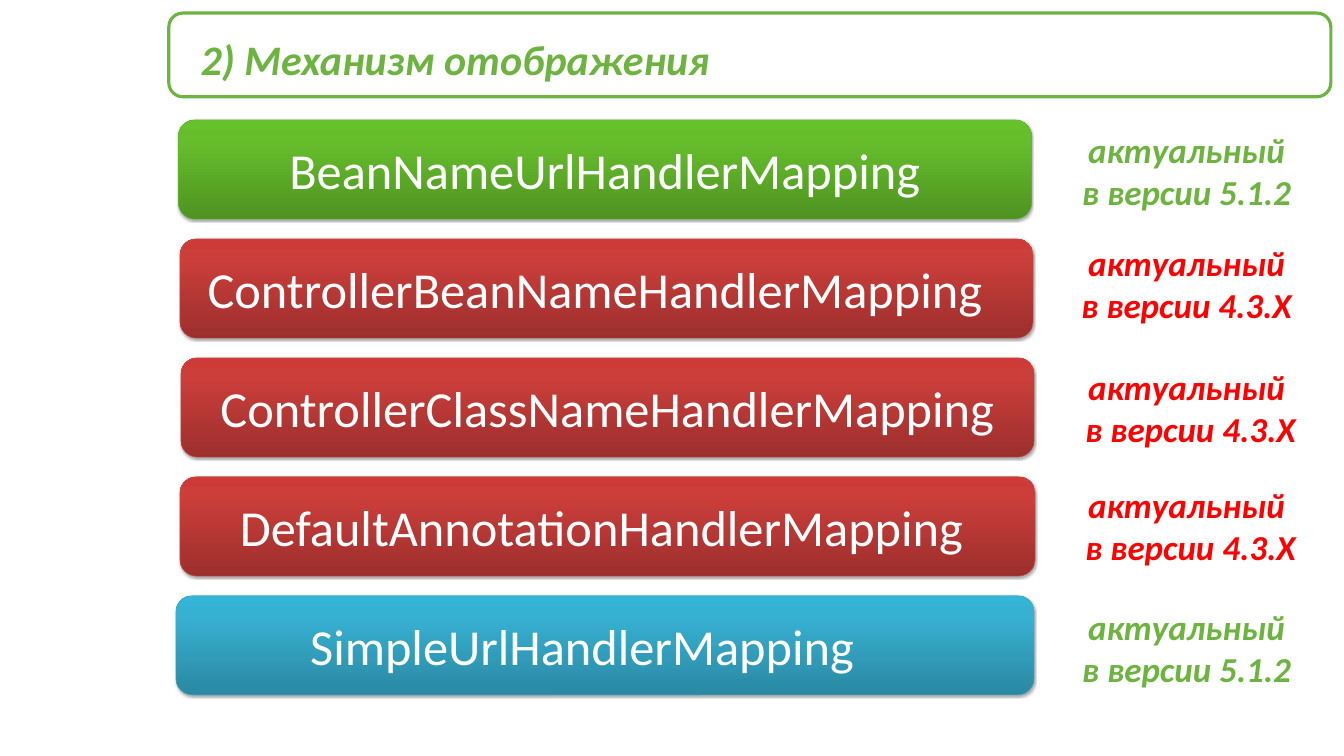
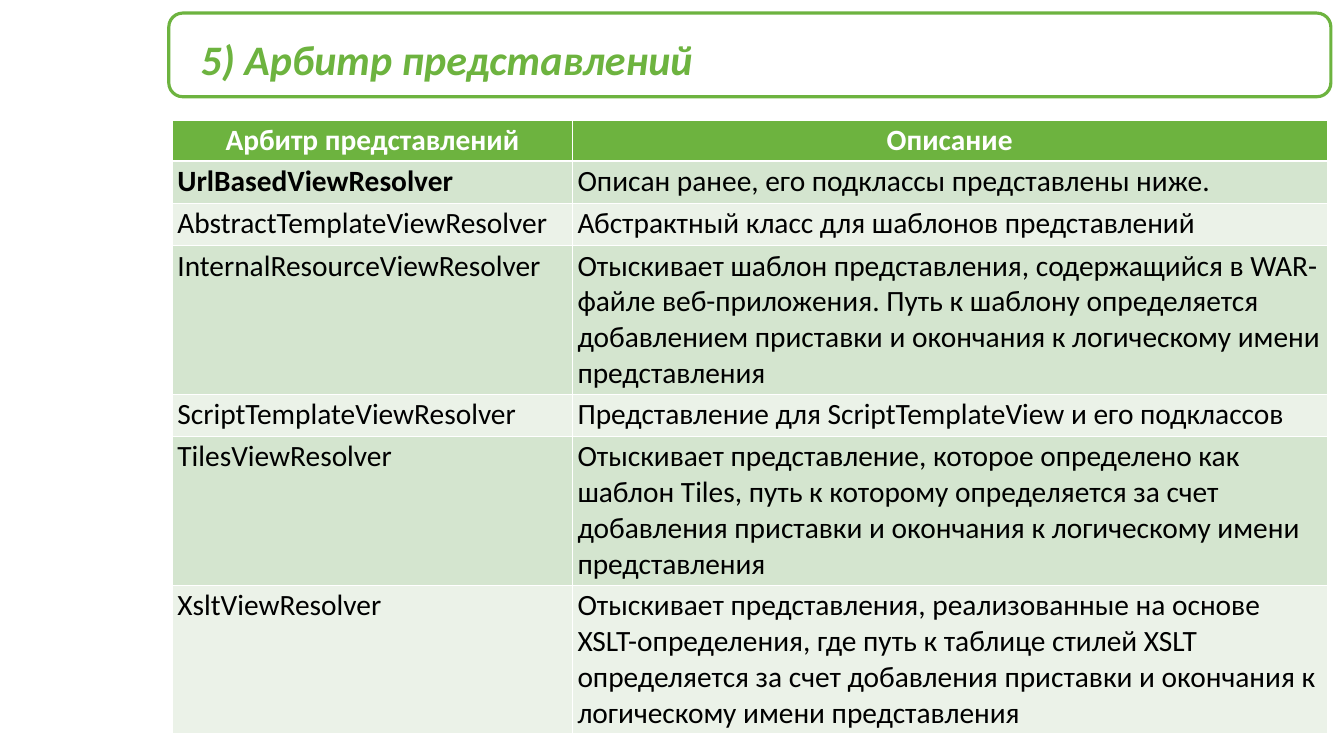
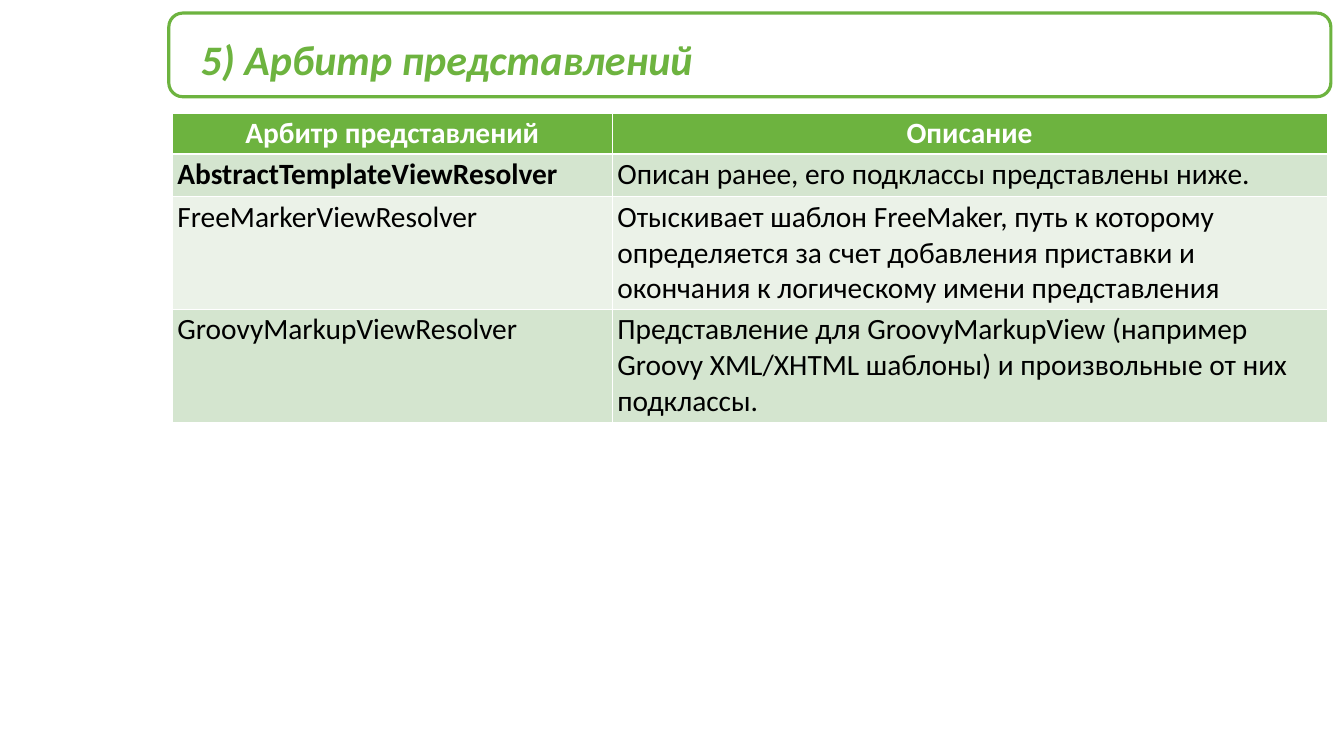
from copy import deepcopy

from lxml import etree
from pptx import Presentation, util as u
from pptx.dml.color import RGBColor
from pptx.enum import shapes, text
from pptx.oxml.ns import qn

SCALE = 9144
FONT = "Calibri"
COLORS = {
    "green": "6DB33F", "red": "FF0000", "white": "FFFFFF", "black": "000000",
    "row_dark": "D4E5CF", "row_light": "EBF2E8",
}
BARS = {
    "green": {"line": "6AB23B", "stops": ("4F9322", "66BE2C", "66C22A")},
    "red": {"line": "BF4C48", "stops": ("9C2F2D", "CB3E3A", "CE3B37")},
    "blue": {"line": "46AAC5", "stops": ("2A88A2", "37B1D2", "34B4D6")},
}
STOP_POSITIONS = (0, 0.8, 1)
BAR_TOP, BAR_STEP, BAR_HEIGHT = 238, 236, 197
SINGLE_ROW, HEADER_ROW, LINE_HEIGHT = 84, 81, 71

MAPPINGS = [
    ("BeanNameUrlHandlerMapping", "green", 354, 1693, 0, 251, "в версии 5.1.2 "),
    ("ControllerBeanNameHandlerMapping", "red", 357, 1693, 45, 475, "в версии 4.3.X "),
    ("ControllerClassNameHandlerMapping", "red", 359, 1693, 0, 721, "в версии 4.3.X"),
    ("DefaultAnnotationHandlerMapping", "red", 357, 1697, 23, 954, "в версии 4.3.X"),
    ("SimpleUrlHandlerMapping", "blue", 349, 1703, 90, 1196, "в версии 5.1.2 "),
]
RESOLVER_TITLE = "5) Арбитр представлений"
RESOLVER_HEADER = ("Арбитр представлений", "Описание", 1)
URL_RESOLVERS = [
    ("UrlBasedViewResolver", "Описан ранее, его подклассы представлены ниже.", 1),
    ("AbstractTemplateViewResolver", "Абстрактный класс для шаблонов представлений", 1),
    ("InternalResourceViewResolver",
     "Отыскивает шаблон представления, содержащийся в WAR-файле веб-приложения. "
     "Путь к шаблону определяется добавлением приставки и окончания к логическому "
     "имени представления", 4),
    ("ScriptTemplateViewResolver",
     "Представление для ScriptTemplateView и его подклассов", 1),
    ("TilesViewResolver",
     "Отыскивает представление, которое определено как шаблон Tiles, путь к которому "
     "определяется за счет добавления приставки и окончания к логическому имени "
     "представления", 4),
    ("XsltViewResolver",
     "Отыскивает представления, реализованные на основе XSLT-определения, где путь к "
     "таблице стилей XSLT определяется за счет добавления приставки и окончания к "
     "логическому имени представления", 4),
]
TEMPLATE_RESOLVERS = [
    ("AbstractTemplateViewResolver", "Описан ранее, его подклассы представлены ниже.", 1),
    ("FreeMarkerViewResolver",
     "Отыскивает шаблон FreeMaker, путь к которому определяется за счет добавления "
     "приставки и окончания к логическому имени представления", 3),
    ("GroovyMarkupViewResolver",
     "Представление для GroovyMarkupView (например Groovy XML/XHTML шаблоны) и "
     "произвольные от них подклассы.", 3),
]


def px(*lengths):
    return [u.Emu(length * SCALE) for length in lengths]


def rgb(name):
    return RGBColor.from_string(COLORS.get(name, name))


def write(frame, *lines, size, color, bold=False, italic=False, align="LEFT", anchor="TOP"):
    frame.word_wrap = True
    frame.vertical_anchor = getattr(text.MSO_ANCHOR, anchor)
    for index, line in enumerate(lines):
        paragraph = frame.add_paragraph() if index else frame.paragraphs[0]
        paragraph.alignment = getattr(text.PP_ALIGN, align)
        run = paragraph.add_run()
        run.text = line
        font = run.font
        font.name, font.size = FONT, u.Pt(size)
        font.bold, font.italic = bold, italic
        font.color.rgb = rgb(color)


class Deck:
    """Holds the shared style and the slide being built."""

    def __init__(self):
        self.show = Presentation()
        self.show.slide_width, self.show.slide_height = px(2667, 1500)
        self.slide = None

    def start(self, title):
        self.slide = self.show.slides.add_slide(self.show.slide_layouts[5])
        heading = self.slide.shapes.title
        heading.left, heading.top, heading.width, heading.height = px(388, 57, 2207, 89)
        heading.fill.solid()
        heading.fill.fore_color.rgb = rgb("white")
        self.outline(heading, "white", 0.75)
        frame = heading.text_frame
        frame.auto_size = text.MSO_AUTO_SIZE.NONE
        frame.margin_top, frame.margin_bottom = px(10, 0)
        write(frame, title, size=60, color="green", bold=True, italic=True)
        band = self.rounded(335, 26, 2306, 166)
        band.fill.background()
        self.outline(band, "green", 4.5)

    def outline(self, shape, color, width):
        shape.line.color.rgb = rgb(color)
        shape.line.width = u.Pt(width)

    def rounded(self, *box):
        shape = self.slide.shapes.add_shape(shapes.MSO_SHAPE.ROUNDED_RECTANGLE, *px(*box))
        shape.shadow.inherit = False
        return shape

    def bar(self, label, palette, shift, *box):
        bar = self.rounded(*box)
        bar.fill.gradient()
        bar.fill.gradient_angle = 90
        properties = bar._element.spPr
        first_stop = properties.find(".//" + qn("a:gs"))
        first_stop.addnext(deepcopy(first_stop))
        for stop, position, color in zip(
                bar.fill.gradient_stops, STOP_POSITIONS, palette["stops"]):
            stop.position = position
            stop.color.rgb = rgb(color)
        self.outline(bar, palette["line"], 0.75)
        self.soft_shadow(properties.find(qn("a:effectLst")))
        bar.text_frame.margin_right = px(10 + shift)[0]
        write(bar.text_frame, label, size=72, color="white", align="CENTER", anchor="MIDDLE")

    def soft_shadow(self, effects):
        shadow = etree.SubElement(
            effects, qn("a:outerShdw"), blurRad=str(u.Pt(3.1)), dist=str(u.Pt(1.8)),
            dir="5400000", rotWithShape="0")
        tint = etree.SubElement(shadow, qn("a:srgbClr"), val=COLORS["black"])
        etree.SubElement(tint, qn("a:alpha"), val="35000")

    def caption(self, top, version, color):
        note = self.slide.shapes.add_textbox(*px(2084, top, 557, 178))
        note.text_frame.auto_size = text.MSO_AUTO_SIZE.SHAPE_TO_FIT_TEXT
        write(note.text_frame, "актуальный ", version, size=50, color=color,
              bold=True, italic=True, align="CENTER")

    def table(self, top, widths, rows):
        heights = [HEADER_ROW] + [
            max(SINGLE_ROW, LINE_HEIGHT * lines + 10) for *_, lines in rows]
        grid = self.slide.shapes.add_table(
            len(heights), len(widths), *px(342, top, sum(widths), sum(heights))).table
        for column, width in zip(grid.columns, px(*widths)):
            column.width = width
        for index, (name, description, _) in enumerate([RESOLVER_HEADER, *rows]):
            grid.rows[index].height = px(heights[index])[0]
            header = index == 0
            fill = "green" if header else "row_dark" if index % 2 else "row_light"
            for column, content in enumerate((name, description)):
                cell = grid.cell(index, column)
                cell.fill.solid()
                cell.fill.fore_color.rgb = rgb(fill)
                self.borders(cell, top=3 if index == 1 else 1, bottom=3 if header else 1)
                write(cell.text_frame, content, size=42,
                      color="white" if header else "black",
                      bold=header or (index == 1 and column == 0),
                      align="CENTER" if header else "LEFT")

    def borders(self, cell, top, bottom):
        properties = cell._tc.get_or_add_tcPr()
        sides = {"lnL": 1, "lnR": 1, "lnT": top, "lnB": bottom}
        for order, (side, width) in enumerate(sides.items()):
            edge = etree.Element(qn("a:" + side), w=str(u.Pt(width)))
            paint = etree.SubElement(edge, qn("a:solidFill"))
            etree.SubElement(paint, qn("a:srgbClr"), val=COLORS["white"])
            properties.insert(order, edge)


def main():
    deck = Deck()
    deck.start("2) Механизм отображения")
    for index, (label, tone, left, width, shift, note_top, version) in enumerate(MAPPINGS):
        deck.bar(label, BARS[tone], shift,
                 left, BAR_TOP + BAR_STEP * index, width, BAR_HEIGHT)
        deck.caption(note_top, version, "red" if tone == "red" else "green")
    deck.start(RESOLVER_TITLE)
    deck.table(238, (794, 1497), URL_RESOLVERS)
    deck.start(RESOLVER_TITLE)
    deck.table(225, (873, 1418), TEMPLATE_RESOLVERS)
    deck.show.save("out.pptx")


if __name__ == "__main__":
    main()
